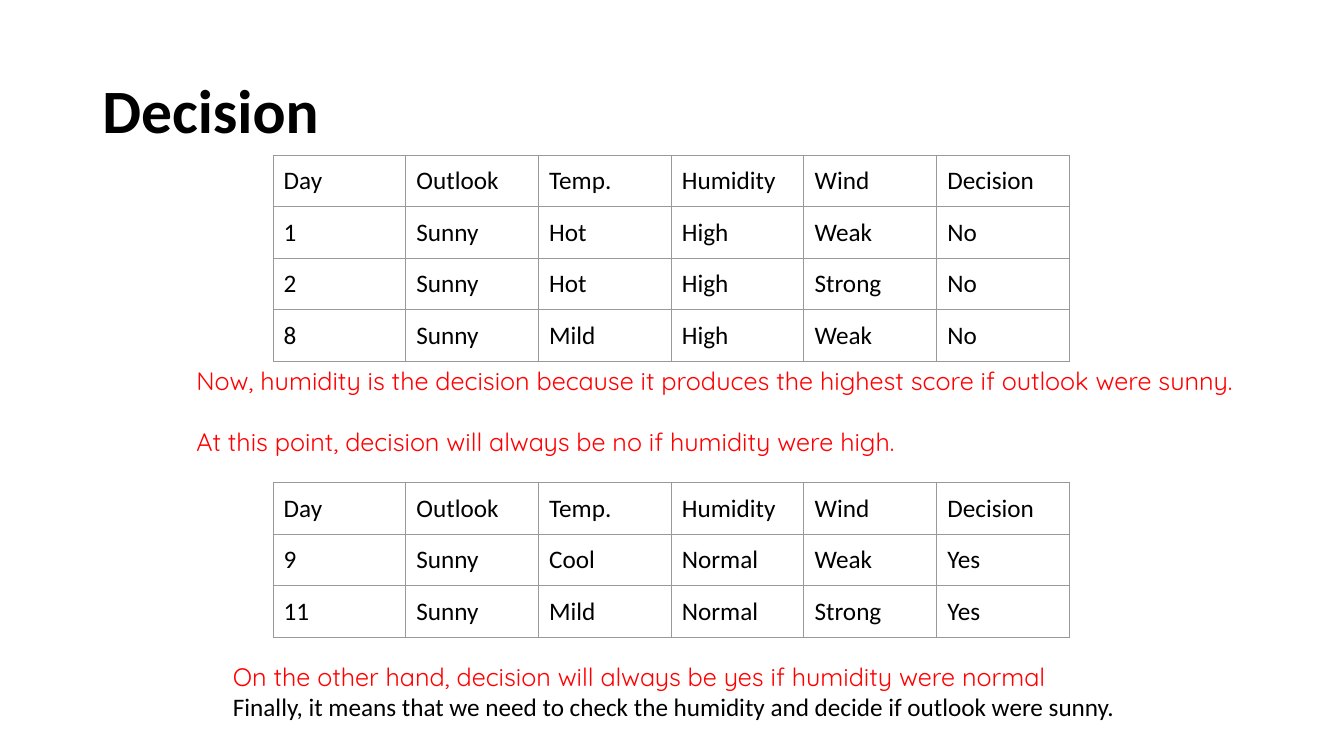
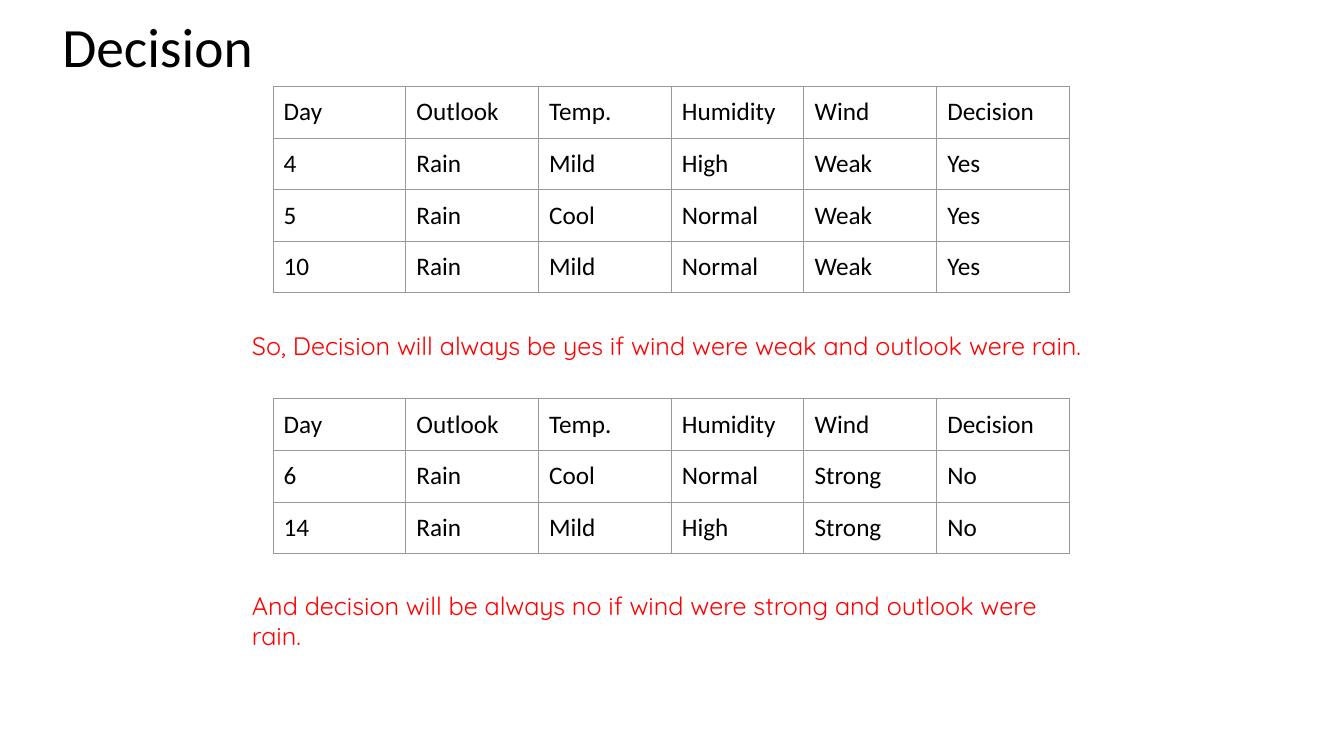
from lxml import etree
from pptx import Presentation
from pptx.dml.color import RGBColor
from pptx.enum.text import MSO_ANCHOR
from pptx.oxml.ns import qn
from pptx.util import Cm, Pt

MIDDLE = MSO_ANCHOR.MIDDLE
TOP = MSO_ANCHOR.TOP

BLACK = RGBColor(0x00, 0x00, 0x00)
RED = RGBColor(0xFF, 0x00, 0x00)
WHITE = RGBColor(0xFF, 0xFF, 0xFF)
GRAY = RGBColor(0x99, 0x99, 0x99)

BODY_FONT = "Calibri"
NOTE_FONT = "Quicksand"
BODY_SIZE = 18

HEADERS = ("Day", "Outlook", "Temp.", "Humidity", "Wind", "Decision")
TABLE_LEFT = 6.88
TABLE_WIDTH = 20.07
COLUMN_WIDTH = TABLE_WIDTH / len(HEADERS)
ROW_HEIGHT = 1.3
CELL_SIDE_MARGIN = Cm(0.27)
CELL_END_MARGIN = Cm(0.25)


def write_text(paragraph, text, font=BODY_FONT, size=BODY_SIZE, color=BLACK,
               bold=False, space_before=0, line_spacing=1.0):
    paragraph.space_before = Pt(space_before)
    paragraph.line_spacing = line_spacing
    run = paragraph.add_run()
    run.text = text
    run.font.name = font
    run.font.size = Pt(size)
    run.font.color.rgb = color
    run.font.bold = bold


def add_text_frame(slide, left, top, width, height, anchor=TOP):
    shape = slide.shapes.add_textbox(Cm(left), Cm(top), Cm(width), Cm(height))
    text_frame = shape.text_frame
    text_frame.word_wrap = True
    text_frame.vertical_anchor = anchor
    return text_frame


def add_title(slide, left, top, height, size, bold=False):
    text_frame = add_text_frame(slide, left, top, 29.21, height, anchor=MIDDLE)
    write_text(text_frame.paragraphs[0], "Decision", size=size, bold=bold,
               line_spacing=0.9)


def add_note(slide, text, left, top, width, height):
    text_frame = add_text_frame(slide, left, top, width, height)
    write_text(text_frame.paragraphs[0], text, font=NOTE_FONT, color=RED)
    return text_frame


def set_borders(cell):
    properties = cell._tc.get_or_add_tcPr()
    for side in ("a:lnL", "a:lnR", "a:lnT", "a:lnB"):
        line = etree.SubElement(properties, qn(side), w=str(Pt(0.75)))
        fill = etree.SubElement(line, qn("a:solidFill"))
        etree.SubElement(fill, qn("a:srgbClr"), val=str(GRAY))


def add_day_table(slide, top, days):
    rows = [HEADERS, *days]
    table = slide.shapes.add_table(
        len(rows), len(HEADERS), Cm(TABLE_LEFT), Cm(top),
        Cm(TABLE_WIDTH), Cm(ROW_HEIGHT * len(rows))).table
    table.first_row = False
    table.horz_banding = False
    for column in table.columns:
        column.width = Cm(COLUMN_WIDTH)
    for row, values in zip(table.rows, rows):
        row.height = Cm(ROW_HEIGHT)
        for cell, value in zip(row.cells, values):
            set_borders(cell)
            cell.fill.solid()
            cell.fill.fore_color.rgb = WHITE
            cell.vertical_anchor = MIDDLE
            cell.margin_left = cell.margin_right = CELL_SIDE_MARGIN
            cell.margin_top = cell.margin_bottom = CELL_END_MARGIN
            write_text(cell.text_frame.paragraphs[0], value)


def build_sunny_slide(slide):
    add_title(slide, 2.33, 1.01, 3.68, size=44, bold=True)
    add_day_table(slide, 3.91, [
        ("1", "Sunny", "Hot", "High", "Weak", "No"),
        ("2", "Sunny", "Hot", "High", "Strong", "No"),
        ("8", "Sunny", "Mild", "High", "Weak", "No"),
    ])
    high_note = add_note(
        slide,
        "Now, humidity is the decision because it produces the highest score "
        "if outlook were sunny.",
        4.7, 9.09, 27.2, 2.57)
    write_text(high_note.add_paragraph(),
               "At this point, decision will always be no if humidity were high.",
               font=NOTE_FONT, color=RED, space_before=22)
    add_day_table(slide, 12.16, [
        ("9", "Sunny", "Cool", "Normal", "Weak", "Yes"),
        ("11", "Sunny", "Mild", "Normal", "Strong", "Yes"),
    ])
    normal_note = add_note(
        slide,
        "On the other hand, decision will always be yes if humidity were normal",
        5.62, 16.54, 26.24, 1.8)
    write_text(normal_note.add_paragraph(),
               "Finally, it means that we need to check the humidity and decide "
               "if outlook were sunny.")


def build_rain_slide(slide):
    add_title(slide, 1.32, 0.3, 1.88, size=39.6)
    add_day_table(slide, 2.18, [
        ("4", "Rain", "Mild", "High", "Weak", "Yes"),
        ("5", "Rain", "Cool", "Normal", "Weak", "Yes"),
        ("10", "Rain", "Mild", "Normal", "Weak", "Yes"),
    ])
    add_note(slide,
             "So, Decision will always be yes if wind were weak and outlook "
             "were rain.",
             6.1, 8.2, 22.15, 1.02)
    add_day_table(slide, 10.05, [
        ("6", "Rain", "Cool", "Normal", "Strong", "No"),
        ("14", "Rain", "Mild", "High", "Strong", "No"),
    ])
    add_note(slide,
             "And decision will be always no if wind were strong and outlook "
             "were rain.",
             6.1, 14.74, 21.36, 1.8)


def main():
    presentation = Presentation()
    presentation.slide_width = Cm(33.87)
    presentation.slide_height = Cm(19.05)
    blank_layout = presentation.slide_layouts[6]
    for build_slide in (build_sunny_slide, build_rain_slide):
        build_slide(presentation.slides.add_slide(blank_layout))
    presentation.save("out.pptx")


if __name__ == "__main__":
    main()
